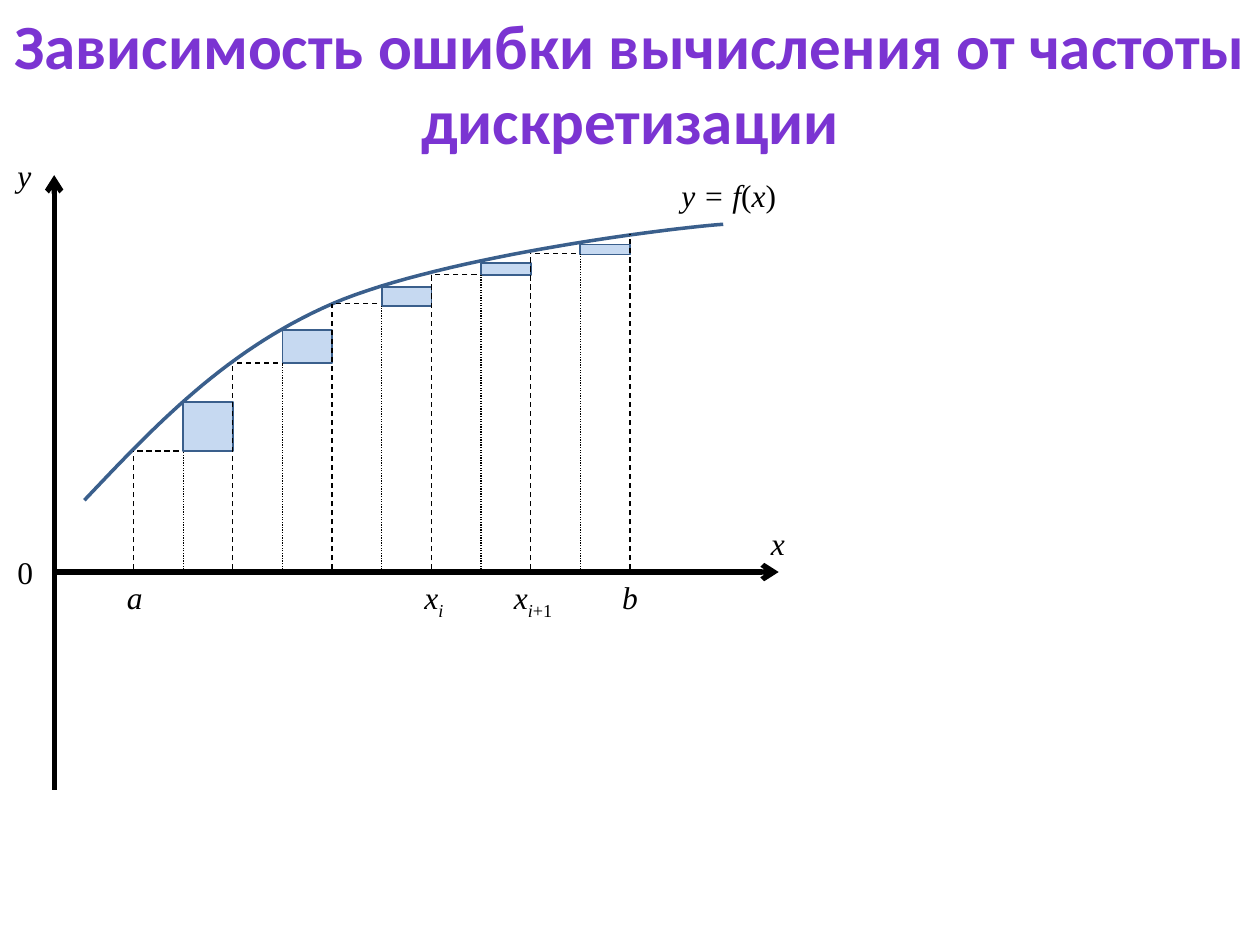
"""Builds a slide on how the integration error depends on the sampling rate."""
from lxml import etree
from pptx import Presentation
from pptx.dml.color import RGBColor
from pptx.enum.dml import MSO_LINE
from pptx.enum.shapes import MSO_CONNECTOR, MSO_SHAPE
from pptx.enum.text import MSO_ANCHOR, MSO_AUTO_SIZE, PP_ALIGN
from pptx.oxml.ns import qn
from pptx.util import Inches, Pt

STRAIGHT, RECT = MSO_CONNECTOR.STRAIGHT, MSO_SHAPE.RECTANGLE
DASH, DOT = MSO_LINE.DASH, MSO_LINE.ROUND_DOT
TOP, CENTER, GROW = MSO_ANCHOR.TOP, PP_ALIGN.CENTER, MSO_AUTO_SIZE.SHAPE_TO_FIT_TEXT
COLORS = {"title": "7B34D2", "ink": "000000", "curve": "3A5F8C", "error": "C6D9F1"}
COLUMNS, ROWS = 100, 75

ORIGIN_X, ORIGIN_Y, FOOT = 4.3, 45.4, 45.2
A, B, COUNT = 10.6, 50, 5
STEP = (B - A) / COUNT
STEPS = [(35.8, 31.9, 3.9), (28.8, 26.2, 2.6), (24.1, 22.8, 1.5),
         (21.8, 20.9, 0.9), (20.1, 19.4, 0.8)]
CURVE = [[(6.7, 39.7), (12.3, 33.8), (17.9, 27.8), (26.4, 24.1)],
         [(26.4, 24.1), (34.8, 20.5), (52.1, 18.2), (57.4, 17.8)]]
X = ("x", True, 0)
SUB_I = ("i", True, -25)
LABELS = [
    (60.2, 41.1, 3.1, [X]),
    (0.4, 11.9, 3.1, [("y", True, 0)]),
    (0.4, 43.4, 3.3, [("0", False, 0)]),
    (9.1, ORIGIN_Y, 3.3, [("a", True, 0)]),
    (48.4, ORIGIN_Y, 3.3, [("b", True, 0)]),
    (53.1, 13.5, 9.6, [("y = f", True, 0), ("(", False, 0), X, (")", False, 0)]),
    (32.7, ORIGIN_Y, 3.6, [X, SUB_I]),
    (39.8, ORIGIN_Y, 5.4, [X, SUB_I, ("+1", False, -25)]),
]


def bezier(points, t):
    """Return the point of a cubic curve at parameter t."""
    weights = ((1 - t) ** 3, 3 * t * (1 - t) ** 2, 3 * t * t * (1 - t), t ** 3)
    return tuple(sum(w * p[axis] for w, p in zip(weights, points)) for axis in (0, 1))


class Deck:
    """Holds the style and the current slide, with lengths in columns and rows."""

    def __init__(self):
        self.prs = Presentation()
        self.prs.slide_width, self.prs.slide_height = Inches(10), Inches(7.5)
        self.s = self.prs.slides.add_slide(self.prs.slide_layouts[5])

    def at(self, *lengths):
        """Turn alternating columns and rows into slide lengths."""
        units = (self.prs.slide_width / COLUMNS, self.prs.slide_height / ROWS)
        return [round(v * units[i % 2]) for i, v in enumerate(lengths)]

    def color(self, name):
        """Look up a colour of the style."""
        return RGBColor.from_string(COLORS[name])

    def stroke(self, line, name, width):
        """Set the colour and width of a line."""
        line.color.rgb = self.color(name)
        line.width = Pt(width)

    def title(self, text, *box):
        """Fill and place the title placeholder."""
        sp = self.s.shapes.title
        sp.left, sp.top, sp.width, sp.height = self.at(*box)
        tf = sp.text_frame
        tf.text, tf.word_wrap, tf.auto_size, tf.vertical_anchor = text, True, GROW, TOP
        p = tf.paragraphs[0]
        p.alignment = CENTER
        p.font.name, p.font.size, p.font.bold = "Calibri", Pt(36), True
        p.font.color.rgb = self.color("title")

    def label(self, x, y, width, runs):
        """Add a one-line label made of (text, italic, baseline) runs."""
        tf = self.s.shapes.add_textbox(*self.at(x, y, width, 4)).text_frame
        tf.word_wrap, tf.auto_size = False, GROW
        p = tf.paragraphs[0]
        p.font.name, p.font.size = "Times New Roman", Pt(18)
        p.font.color.rgb = self.color("ink")
        for text, italic, baseline in runs:
            r = p.add_run()
            r.text, r.font.italic = text, italic
            if baseline:
                r._r.get_or_add_rPr().set("baseline", str(baseline * 1000))

    def line(self, *ends, width=0.75, dash=None, arrow=False):
        """Add a straight line, dashed or with an arrowhead at its end."""
        sp = self.s.shapes.add_connector(STRAIGHT, *self.at(*ends))
        self.stroke(sp.line, "ink", width)
        if dash:
            sp.line.dash_style = dash
        if arrow:
            etree.SubElement(sp.line._get_or_add_ln(), qn("a:tailEnd"), type="arrow")
        etree.SubElement(sp._element.spPr, qn("a:effectLst"))

    def rect(self, *box):
        """Add a rectangle that marks an error area."""
        sp = self.s.shapes.add_shape(RECT, *self.at(*box))
        sp.shadow.inherit = False
        sp.fill.solid()
        sp.fill.fore_color.rgb = self.color("error")
        self.stroke(sp.line, "curve", 1)

    def curve(self, segments, samples=30):
        """Add a smooth open curve through cubic segments."""
        points = [self.at(*bezier(seg, i / samples))
                  for seg in segments for i in range(1, samples + 1)]
        builder = self.s.shapes.build_freeform(*self.at(*segments[0][0]))
        builder.add_line_segments(points, close=False)
        sp = builder.convert_to_shape()
        sp.shadow.inherit = False
        sp.fill.background()
        self.stroke(sp.line, "curve", 2)


def main():
    """Build and save the slide."""
    deck = Deck()
    deck.title("Зависимость ошибки вычисления от частоты дискретизации", 0, 0, COLUMNS, 13.1)
    deck.line(ORIGIN_X, 62.7, ORIGIN_X, 13.9, width=3, arrow=True)
    deck.line(ORIGIN_X, ORIGIN_Y, 61.8, ORIGIN_Y, width=3, arrow=True)
    deck.curve(CURVE)
    for i, (level, top, height) in enumerate(STEPS):
        left = A + i * STEP
        middle = left + STEP / 2
        deck.line(left, FOOT, left, level, dash=DASH)
        deck.line(left + STEP, level, left, level, dash=DASH)
        deck.rect(middle, top, STEP / 2, height)
        deck.line(middle, FOOT, middle, top + height, dash=DOT)
    deck.line(B, FOOT, B, 18.6, dash=DASH)
    for label in LABELS:
        deck.label(*label)
    deck.prs.save("out.pptx")


if __name__ == "__main__":
    main()
